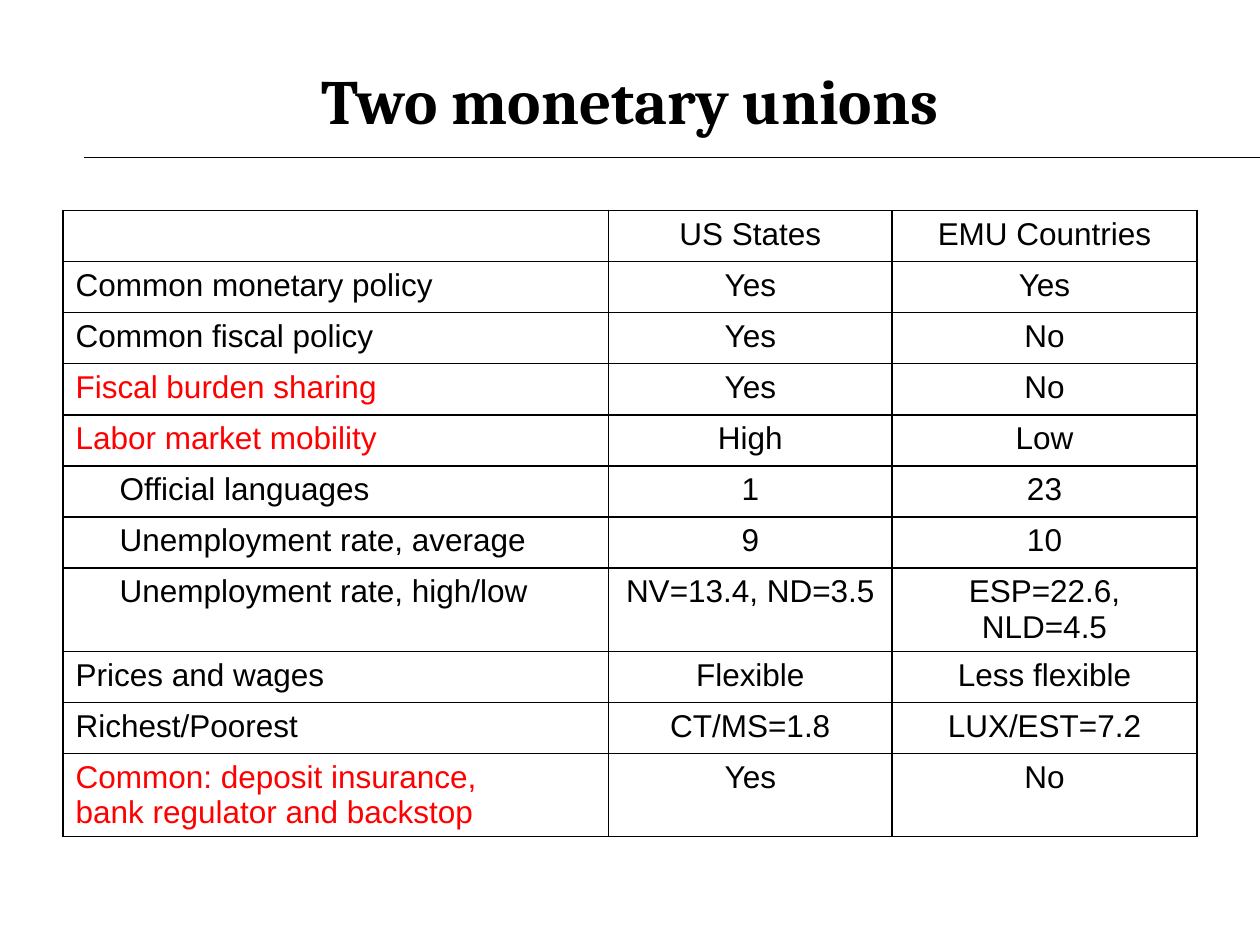
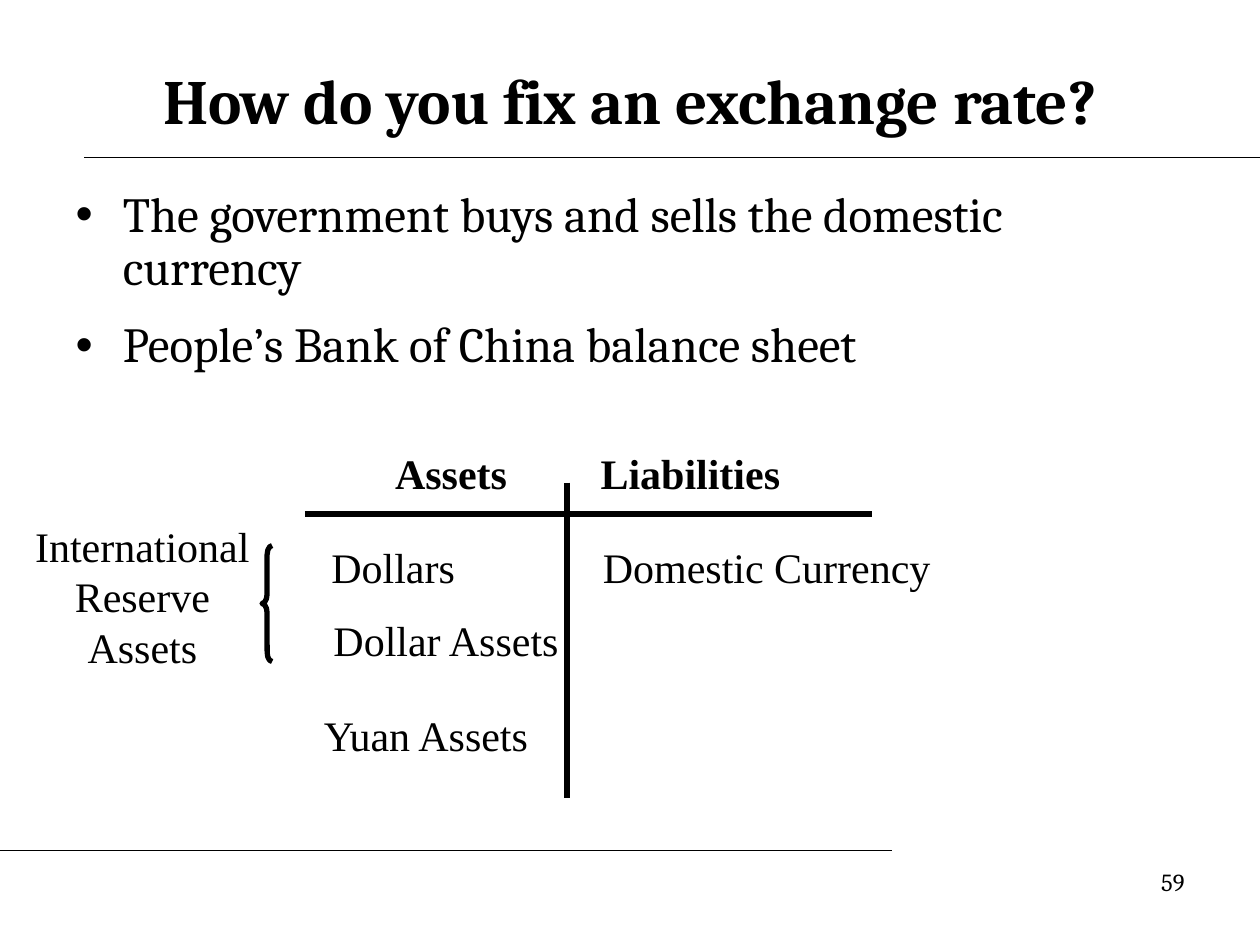
from pptx import Presentation
from pptx.dml.color import RGBColor
from pptx.enum.shapes import MSO_CONNECTOR as Connector, MSO_SHAPE as Preset
from pptx.enum.text import MSO_ANCHOR as Anchor, MSO_AUTO_SIZE as AutoSize, PP_ALIGN as Align
from pptx.oxml.ns import qn
from pptx.util import Inches, Pt
from lxml.etree import SubElement

BLACK = RGBColor(0x00, 0x00, 0x00)
RED = RGBColor(0xFF, 0x00, 0x00)

# Formats shared by the slides
TITLE = {"name": "Cambria", "size": Pt(36), "bold": True}
LIST = {"name": "Cambria", "size": Pt(28)}
NUMBER = {"name": "Cambria", "size": Pt(14)}
CELL = {"name": "Arial", "size": Pt(18)}
LABEL = {"name": "Times New Roman", "size": Pt(24)}
HEADING = {**LABEL, "bold": True}

TITLE_ONLY, TITLE_AND_LIST = 5, 1

# Label, US value, EMU value, colour, left margin of the label
PLAIN, INDENTED = 0.1, 0.45
COMPARISON = [
    ("", "US States", "EMU Countries", BLACK, PLAIN),
    ("Common monetary policy", "Yes", "Yes", BLACK, PLAIN),
    ("Common fiscal policy", "Yes", "No", BLACK, PLAIN),
    ("Fiscal burden sharing", "Yes", "No", RED, PLAIN),
    ("Labor market mobility", "High", "Low", RED, PLAIN),
    ("Official languages", "1", "23", BLACK, INDENTED),
    ("Unemployment rate, average", "9", "10", BLACK, INDENTED),
    ("Unemployment rate, high/low", "NV=13.4, ND=3.5", "ESP=22.6, NLD=4.5", BLACK, INDENTED),
    ("Prices and wages", "Flexible", "Less flexible", BLACK, PLAIN),
    ("Richest/Poorest", "CT/MS=1.8", "LUX/EST=7.2", BLACK, PLAIN),
    ("Common: deposit insurance,\nbank regulator and backstop", "Yes", "No", RED, PLAIN),
]
TALL_ROWS = (7, 10)


class SlideBuilder:
    """Holds the deck, its style and the current page."""

    def __init__(self):
        self.deck = Presentation()
        self.deck.slide_width, self.deck.slide_height = Inches(10), Inches(7.5)
        self.page = None

    def new_page(self, layout, title):
        self.page = self.deck.slides.add_slide(self.deck.slide_layouts[layout])
        self.line(0.67, 1.25, 10, 1.25)
        box = self.page.shapes.title
        self.place(box, 0.5, 0.33, 9, 0.92)
        self.fill_text(box.text_frame, title, TITLE, Align.CENTER)
        box.text_frame.vertical_anchor = Anchor.MIDDLE

    def place(self, box, left, top, width, height):
        places = {"left": left, "top": top, "width": width, "height": height}
        for name, value in places.items():
            setattr(box, name, Inches(value))

    def fill_text(self, frame, text, style, align, color=BLACK, **spacing):
        frame.text = text
        for para in frame.paragraphs:
            for name, value in {"alignment": align, **spacing}.items():
                setattr(para, name, value)
            for span in para.runs:
                for name, value in style.items():
                    setattr(span.font, name, value)
                span.font.color.rgb = color

    def bullets(self, items, left, top, width, height):
        box = self.page.placeholders[1]
        self.place(box, left, top, width, height)
        box.text_frame.auto_size = AutoSize.NONE
        self.fill_text(box.text_frame, "\n".join(items), LIST, Align.LEFT,
                       line_spacing=0.9, space_before=Pt(14))

    def text(self, text, left, top, width, height, style=LABEL, align=Align.CENTER):
        box = self.page.shapes.add_textbox(*map(Inches, (left, top, width, height)))
        box.text_frame.word_wrap = True
        self.fill_text(box.text_frame, text, style, align)

    def line(self, x1, y1, x2, y2, width=0.75):
        line = self.page.shapes.add_connector(
            Connector.STRAIGHT, *map(Inches, (x1, y1, x2, y2)))
        line.line.color.rgb = BLACK
        line.line.width = Pt(width)
        SubElement(line._element.spPr, qn("a:effectLst"))

    def brace(self, left, top, width, height):
        brace = self.page.shapes.add_shape(
            Preset.LEFT_BRACE, *map(Inches, (left, top, width, height)))
        brace.adjustments[0] = 0.917
        brace.shadow.inherit = False
        brace.fill.background()
        brace.line.color.rgb = BLACK
        brace.line.width = Pt(3)

    def border(self, cell):
        properties = cell._tc.get_or_add_tcPr()
        for side in ("a:lnL", "a:lnR", "a:lnT", "a:lnB"):
            edge = SubElement(properties, qn(side), w=str(Pt(1)))
            fill = SubElement(edge, qn("a:solidFill"))
            SubElement(fill, qn("a:srgbClr"), val=str(BLACK))

    def table(self, rows, left, top, widths, heights):
        table = self.page.shapes.add_table(
            len(rows), len(widths), Inches(left), Inches(top),
            Inches(sum(widths)), Inches(sum(heights))).table
        table.first_row = table.horz_banding = False
        for column, width in zip(table.columns, widths):
            column.width = Inches(width)
        for r, (*texts, color, margin) in enumerate(rows):
            table.rows[r].height = Inches(heights[r])
            for c, text in enumerate(texts):
                cell = table.cell(r, c)
                self.border(cell)
                cell.fill.background()
                if c == 0:
                    cell.margin_left = Inches(margin)
                    self.fill_text(cell.text_frame, text, CELL, Align.LEFT, color)
                else:
                    self.fill_text(cell.text_frame, text, CELL, Align.CENTER)


def build_unions(builder):
    builder.new_page(TITLE_ONLY, "Two monetary unions")
    heights = [0.66 if r in TALL_ROWS else 3.65 / 9 for r in range(len(COMPARISON))]
    builder.table(COMPARISON, 0.5, 1.67, (4.33, 2.25, 2.42), heights)


def build_exchange_rate(builder):
    builder.new_page(TITLE_AND_LIST, "How do you fix an exchange rate?")
    builder.bullets(["The government buys and sells the domestic currency",
                     "People’s Bank of China balance sheet"], 0.5, 1.46, 8.08, 1.71)
    builder.line(1.25, 1.25, 10, 1.25)

    # Balance sheet: the T-shaped account
    builder.line(4.5, 3.83, 4.5, 6.33, 3)
    builder.line(2.42, 4.08, 6.92, 4.08, 3)
    builder.text("Assets", 2.83, 3.5, 1.5, 0.5, HEADING)
    builder.text("Liabilities", 4.48, 3.5, 2, 0.5, HEADING)

    # Balance sheet: entries
    for text, left, top, width in (("Dollars", 2.08, 4.25, 2.08),
                                   ("Dollar Assets", 2.33, 4.83, 2.42),
                                   ("Domestic Currency", 4.42, 4.25, 3.33),
                                   ("Yuan Assets", 2.42, 5.58, 1.92)):
        builder.text(text, left, top, width, 0.5)

    # Reserve assets and their brace
    builder.brace(2.08, 4.33, 0.08, 0.92)
    builder.text("International Reserve Assets", 0.17, 4.08, 1.92, 1.3)

    # Footer
    builder.line(0, 6.75, 7.08, 6.75)
    builder.text("59", 7.17, 6.83, 2.33, 0.52, NUMBER, Align.RIGHT)


def main():
    builder = SlideBuilder()
    build_unions(builder)
    build_exchange_rate(builder)
    builder.deck.save("out.pptx")


if __name__ == "__main__":
    main()
